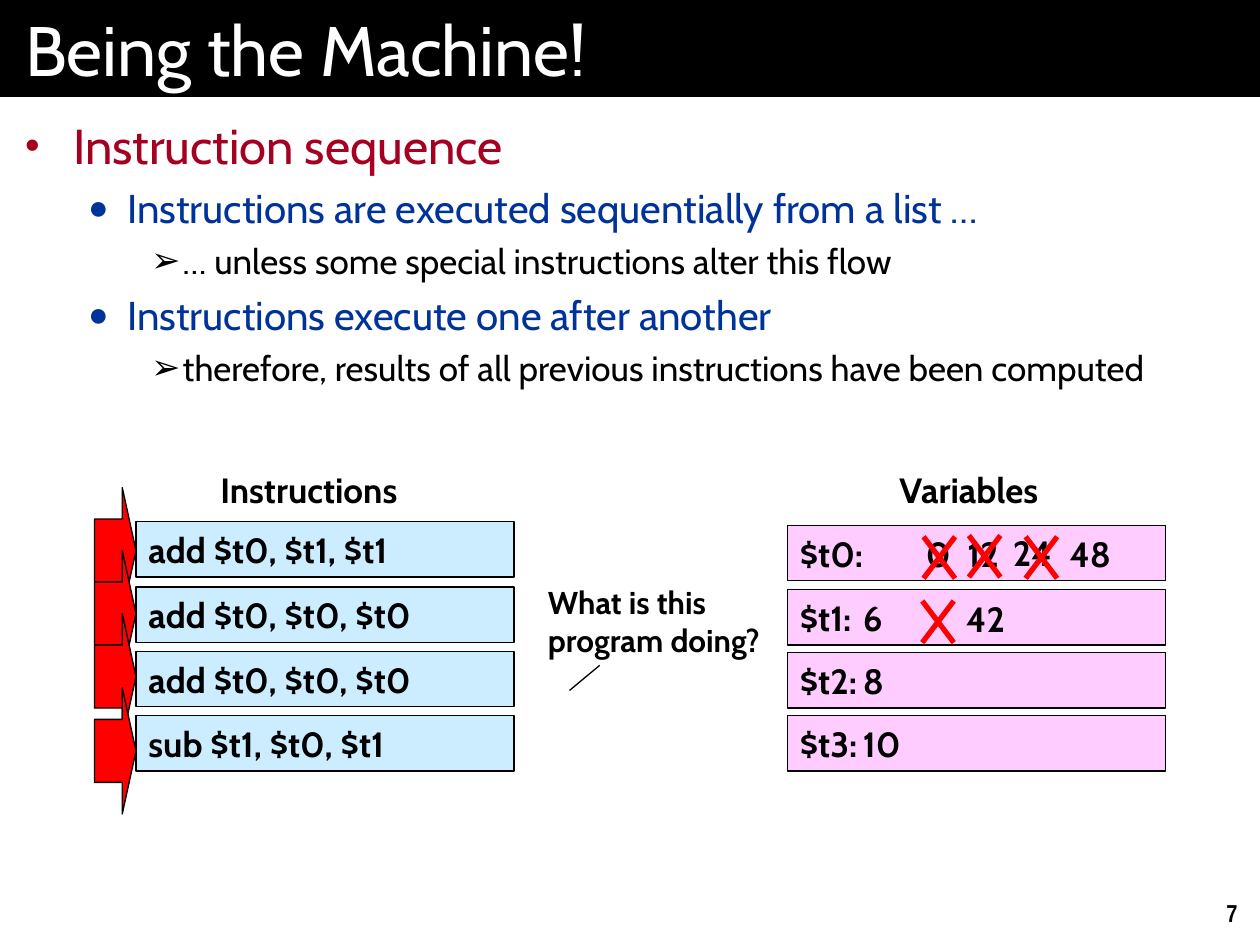
from lxml.etree import SubElement
from pptx import Presentation
from pptx.dml.color import RGBColor
from pptx.enum.shapes import MSO_CONNECTOR, MSO_SHAPE
from pptx.enum.text import MSO_ANCHOR, MSO_AUTO_SIZE, PP_ALIGN
from pptx.oxml.ns import qn
from pptx.util import Inches, Pt

TITLE = "Being the Machine!"
BULLETS = [
    (0, "Instruction sequence"),
    (1, "Instructions are executed sequentially from a list …"),
    (2, "… unless some special instructions alter this flow"),
    (1, "Instructions execute one after another"),
    (2, "therefore, results of all previous instructions have been computed"),
]
LEVELS = [
    {"size": 28, "color": "A50021", "mark": "•", "scale": 85, "margin": 0.38, "hang": 0.38},
    {"size": 23, "color": "003399", "mark": "●", "scale": 85, "margin": 0.81, "hang": 0.31},
    {"size": 20, "color": "000000", "mark": "➢", "scale": 100, "margin": 1.25, "hang": 0.25},
]
COLUMNS = [
    {"left": 6.25, "fill": "FFCCFF", "heading": ("Variables", 7.04, 1.51),
     "rows": [("$t0:\t0", 4.17), ("$t1:\t6", 4.68), ("$t2:\t8", 5.18), ("$t3:\t10", 5.68)]},
    {"left": 1.08, "fill": "CCECFF", "heading": ("Instructions", 1.65, 1.93),
     "rows": [("add $t0, $t1, $t1", 4.14), ("add $t0, $t0, $t0", 4.66),
              ("add $t0, $t0, $t0", 5.17), ("sub $t1, $t0, $t1", 5.68)]},
]
ARROW_TOPS = [3.87, 4.37, 4.87, 5.46]
UPDATES = [("12", 7.33, 4.26), ("24", 7.69, 4.25), ("48", 8.14, 4.26), ("42", 7.32, 4.77)]
QUESTION = "What is this program doing?"
PAGE_NUMBER = "7"
ROW_WIDTH, ROW_HEIGHT = 3, 0.44
CROSS_WIDTH, CROSS_HEIGHT = 0.25, 0.33


def color(value):
    return RGBColor.from_string(value)


def apply(target, values):
    for name, value in values.items():
        setattr(target, name, value)


def style_font(font, size, shade="000000", name="Cabin", bold=True):
    apply(font, {"name": name, "size": Pt(size), "bold": bold})
    font.color.rgb = color(shade)


def place(shape, left, top, width, height):
    apply(shape, {"left": Inches(left), "top": Inches(top),
                  "width": Inches(width), "height": Inches(height)})


def set_frame(frame, side=0.1, end=0.05, **values):
    apply(frame, {"margin_left": Inches(side), "margin_right": Inches(side),
                  "margin_top": Inches(end), "margin_bottom": Inches(end),
                  "word_wrap": True, "auto_size": MSO_AUTO_SIZE.NONE,
                  "vertical_anchor": MSO_ANCHOR.TOP, **values})


def write(shape, text, size=20, align=PP_ALIGN.LEFT, name="Cabin", **values):
    set_frame(shape.text_frame, **values)
    para = shape.text_frame.paragraphs[0]
    para.alignment = align
    span = para.add_run()
    span.text = text
    style_font(span.font, size, name=name)


def add_label(page, text, left, top, width, height=ROW_HEIGHT, **values):
    box = page.shapes.add_textbox(*map(Inches, (left, top, width, height)))
    write(box, text, **values)


def add_block(page, kind, left, top, width, height, fill):
    shape = page.shapes.add_shape(kind, *map(Inches, (left, top, width, height)))
    shape.shadow.inherit = False
    shape.fill.solid()
    shape.fill.fore_color.rgb = color(fill)
    shape.line.color.rgb = color("000000")
    shape.line.width = Pt(0.75)
    return shape


def add_line(page, start, end, shade, width):
    line = page.shapes.add_connector(MSO_CONNECTOR.STRAIGHT, *map(Inches, start + end))
    line.line.color.rgb = color(shade)
    line.line.width = Pt(width)
    SubElement(line._element.spPr, qn("a:effectLst"))


def add_title(page):
    title = page.shapes.title
    place(title, 0, 0, 10, 0.77)
    title.fill.solid()
    title.fill.fore_color.rgb = color("000000")
    set_frame(title.text_frame, side=0.2, vertical_anchor=MSO_ANCHOR.MIDDLE)
    title.text_frame.text = TITLE
    para = title.text_frame.paragraphs[0]
    para.alignment = PP_ALIGN.LEFT
    style_font(para.runs[0].font, 40, "FFFFFF", bold=False)


def add_bullets(page):
    body = page.placeholders[1]
    place(body, 0, 0.77, 10, 6.73)
    frame = body.text_frame
    set_frame(frame, side=0.2, end=0.15)
    for index, (depth, text) in enumerate(BULLETS):
        level = LEVELS[depth]
        para = frame.add_paragraph() if index else frame.paragraphs[0]
        para.level = depth
        props = para._p.get_or_add_pPr()
        props.set("marL", str(Inches(level["margin"])))
        props.set("indent", str(-Inches(level["hang"])))
        shade = SubElement(props, qn("a:buClr"))
        SubElement(shade, qn("a:srgbClr"), val=level["color"])
        SubElement(props, qn("a:buSzPct"), val=str(level["scale"] * 1000))
        SubElement(props, qn("a:buChar"), char=level["mark"])
        para.space_before = Pt(round(level["size"] * 0.22, 1) if index else 0)
        span = para.add_run()
        span.text = text
        style_font(span.font, level["size"], level["color"], bold=False)


def add_columns(page):
    for column in COLUMNS:
        for text, top in column["rows"]:
            row = add_block(page, MSO_SHAPE.RECTANGLE, column["left"], top,
                            ROW_WIDTH, ROW_HEIGHT, column["fill"])
            write(row, text, vertical_anchor=MSO_ANCHOR.MIDDLE)
        heading, left, width = column["heading"]
        add_label(page, heading, left, 3.67, width, word_wrap=False)


def add_arrows(page):
    for top in ARROW_TOPS:
        arrow = add_block(page, MSO_SHAPE.RIGHT_ARROW, 0.75, top, 0.33, 1, "FF0000")
        arrow.adjustments[0] = 0.5
        arrow.adjustments[1] = 0.33


def add_updates(page):
    for text, left, top in UPDATES:
        right, bottom = left + CROSS_WIDTH, top + CROSS_HEIGHT
        add_line(page, (left, top), (right, bottom), "FF0000", 3)
        add_line(page, (right, top), (left, bottom), "FF0000", 3)
        add_label(page, text, right, top - 0.08, 0.57, word_wrap=False)


def main():
    deck = Presentation()
    deck.slide_width, deck.slide_height = Inches(10), Inches(7.5)
    page = deck.slides.add_slide(deck.slide_layouts[1])
    add_title(page)
    add_bullets(page)
    add_columns(page)
    add_arrows(page)
    add_updates(page)
    add_label(page, QUESTION, 4.25, 4.58, 1.92, 1.01, size=18)
    add_line(page, (4.52, 5.48), (4.76, 5.28), "000000", 0.75)
    add_label(page, PAGE_NUMBER, 9.5, 7.08, 0.42, 0.33, size=14,
              align=PP_ALIGN.RIGHT, name="Arial Narrow")
    deck.save("out.pptx")


if __name__ == "__main__":
    main()
